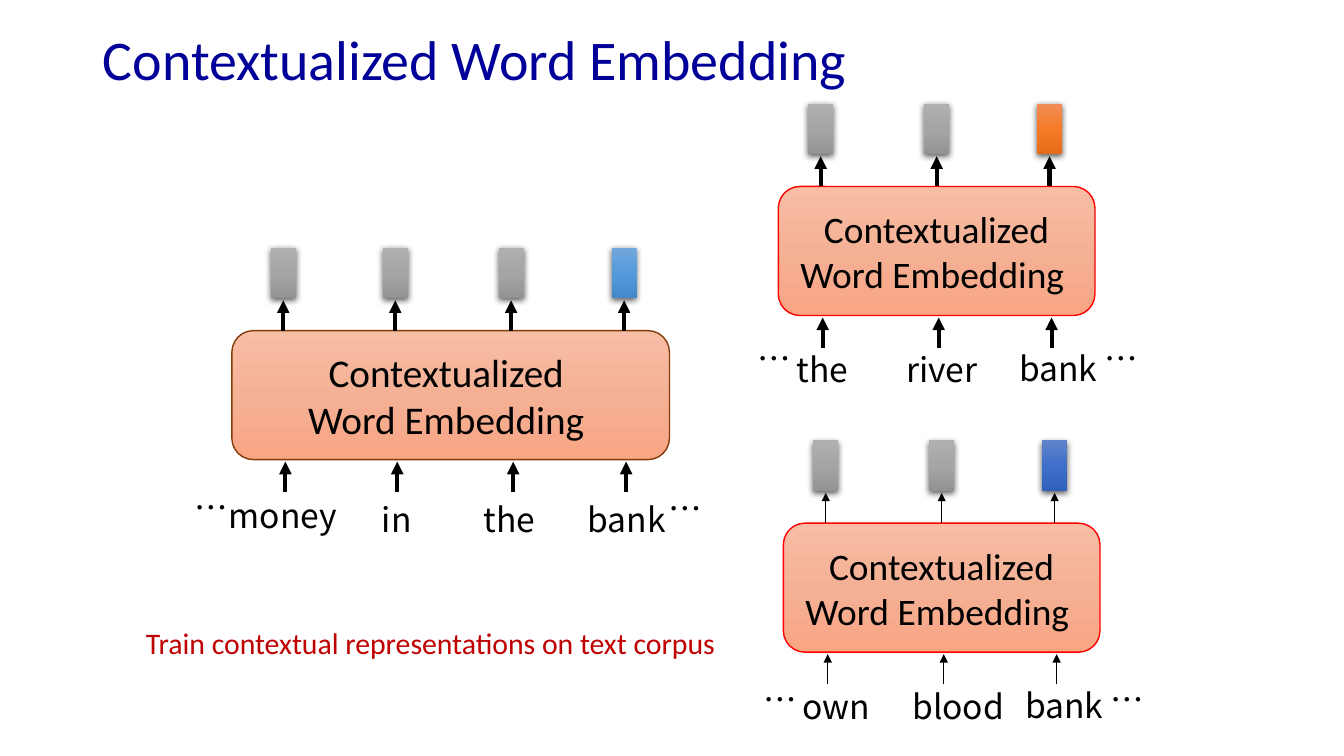
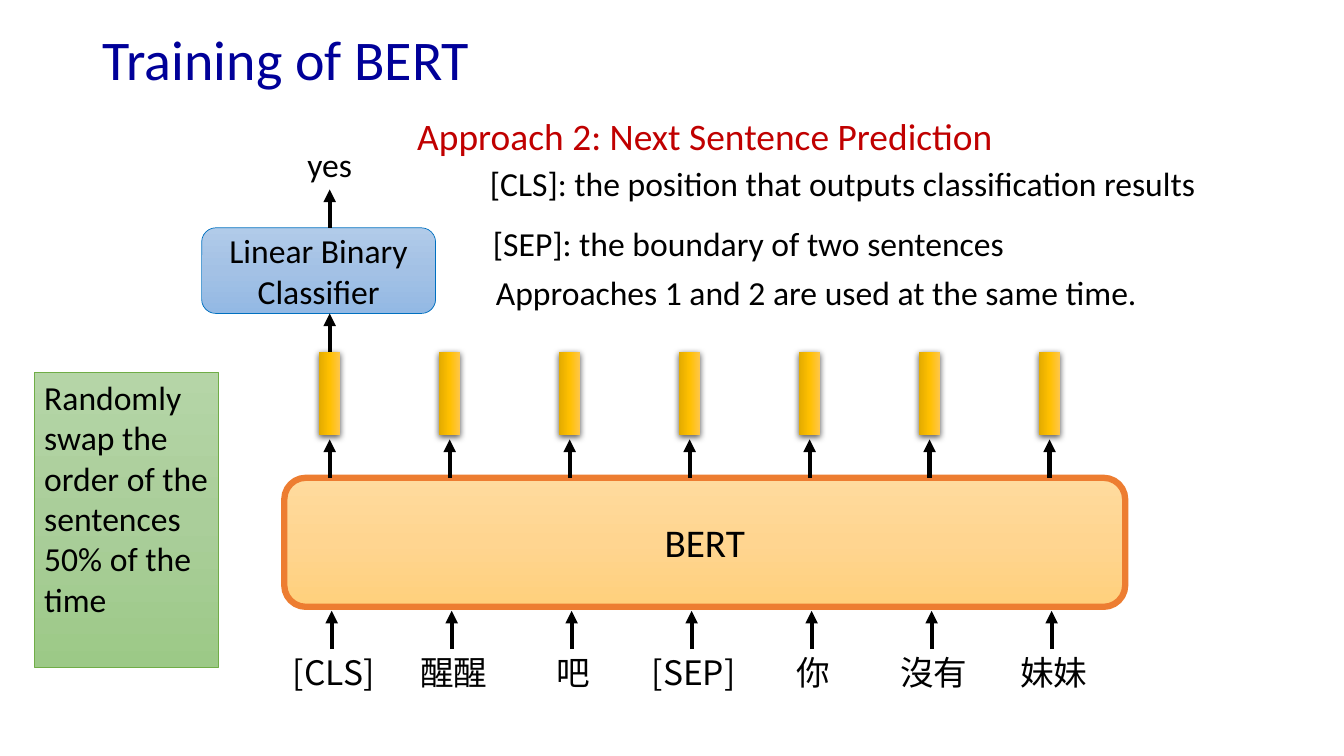
from copy import deepcopy

from lxml import etree
from pptx import Presentation
from pptx.dml.color import RGBColor
from pptx.enum.shapes import MSO_CONNECTOR, MSO_SHAPE
from pptx.enum.text import MSO_ANCHOR as ANCHOR, MSO_AUTO_SIZE as FIT, PP_ALIGN as ALIGN
from pptx.oxml.ns import qn
from pptx.util import Inches, Pt

COLORS = {"title": "000099", "text": "000000", "accent": "C00000", "brown": "843C0B",
          "red": "FF0000", "orange": "ED7D31", "blue": "0070C0", "green": "70AD47"}

# Gradient stops at 0, 50 and 100 %
GRADIENTS = {
    "salmon": ("F7BDA5", "F5B196", "F8A582"),
    "gray": ("AFAFAF", "A5A5A5", "939393"),
    "sky": ("71A6DB", "559BDB", "448ACA"),
    "orange": ("F18C57", "F67B28", "E56C19"),
    "navy": ("6183CB", "3E70CA", "3062BB"),
    "peach": ("FFDB9E", "FFD590", "FFD07C"),
    "pale_blue": ("B1CBE9", "A3C1E5", "93B9E4"),
    "gold": ("FFC64B", "FFC000", "E3AB00"),
    "green": ("B5D5A7", "AACE9A", "9CC987"),
}
SANS, CJK = "Calibri", "Noto Sans CJK SC"


def put_text(tf, text, size=24, color="text", font=SANS, align=ALIGN.LEFT,
             anchor=ANCHOR.TOP, wrap=True, fit=FIT.NONE, spacing=None):
    """Fill a text frame, one paragraph for each line of text."""
    tf.word_wrap, tf.auto_size, tf.vertical_anchor = wrap, fit, anchor
    for i, line in enumerate(text.split("\n")):
        p = tf.add_paragraph() if i else tf.paragraphs[0]
        p.alignment, p.line_spacing = align, spacing
        r = p.add_run()
        r.text = line
        r.font.name, r.font.size = font, Pt(size)
        r.font.color.rgb = RGBColor.from_string(COLORS[color])
        etree.SubElement(r._r.get_or_add_rPr(), qn("a:ea"), typeface=font)


class Deck:
    """The shared style and the slide being drawn."""

    def __init__(self):
        self.prs = Presentation()
        self.prs.slide_width, self.prs.slide_height = Inches(13.33), Inches(7.5)
        self.slide = None

    def new_slide(self, title):
        self.slide = self.prs.slides.add_slide(self.prs.slide_layouts[5])
        sp = self.slide.shapes.title
        sp.left, sp.top, sp.width, sp.height = map(Inches, (0.92, 0.1, 11.13, 1.03))
        put_text(sp.text_frame, title, size=40, color="title",
                 anchor=ANCHOR.MIDDLE, spacing=0.9)

    def label(self, text, x, y, w, h=0.5, **fmt):
        sp = self.slide.shapes.add_textbox(*map(Inches, (x, y, w, h)))
        put_text(sp.text_frame, text, **{"fit": FIT.SHAPE_TO_FIT_TEXT, **fmt})

    def shape(self, kind, x, y, w, h, gradient, line=None, weight=1, angle=270):
        sp = self.slide.shapes.add_shape(kind, *map(Inches, (x, y, w, h)))
        sp.shadow.inherit = False
        sp.fill.gradient()
        sp.fill.gradient_angle = angle
        stops = sp._element.spPr.find(".//" + qn("a:gsLst"))
        stops.append(deepcopy(stops[-1]))
        for i, stop in enumerate(sp.fill.gradient_stops):
            stop.position = i / 2
            stop.color.rgb = RGBColor.from_string(GRADIENTS[gradient][i])
        if line:
            sp.line.color.rgb = RGBColor.from_string(COLORS[line])
            sp.line.width = Pt(weight)
        else:
            sp.line.fill.background()
        return sp

    def box(self, text, x, y, w, h, gradient, line, weight=1, size=24):
        sp = self.shape(MSO_SHAPE.ROUNDED_RECTANGLE, x, y, w, h, gradient, line, weight)
        put_text(sp.text_frame, text, size=size, align=ALIGN.CENTER, anchor=ANCHOR.MIDDLE)

    def note(self, text, x, y, w, h, gradient, line):
        sp = self.shape(MSO_SHAPE.RECTANGLE, x, y, w, h, gradient, line, 0.5)
        put_text(sp.text_frame, text, fit=FIT.SHAPE_TO_FIT_TEXT)

    def vector(self, cx, y, w, h, gradient, angle=270):
        """Shadowed bar centred on cx."""
        sp = self.shape(MSO_SHAPE.RECTANGLE, cx - w / 2, y, w, h, gradient, angle=angle)
        effects = sp._element.spPr.find(qn("a:effectLst"))
        shadow = etree.SubElement(effects, qn("a:outerShdw"), blurRad="57150",
                                  dist="19050", dir="5400000", algn="ctr", rotWithShape="0")
        black = etree.SubElement(shadow, qn("a:srgbClr"), val="000000")
        etree.SubElement(black, qn("a:alpha"), val="63000")
        return sp

    def arrow_up(self, x, bottom, top, weight=3, start=None):
        cxn = self.slide.shapes.add_connector(
            MSO_CONNECTOR.STRAIGHT, *map(Inches, (x, bottom, x, top)))
        cxn.line.color.rgb = RGBColor.from_string(COLORS["text"])
        cxn.line.width = Pt(weight)
        etree.SubElement(cxn.line._get_or_add_ln(), qn("a:tailEnd"), type="triangle")
        etree.SubElement(cxn._element.spPr, qn("a:effectLst"))
        if start is not None:
            cxn.begin_connect(start, 0)

    def embedding_model(self, x, y, w, text, columns, words, dots, last,
                        line="red", size=26.7, weight=3):
        """Model box with words below and a vector above each column."""
        self.box(text, x, y, w, 1.28, "salmon", line, size=size)
        for col in columns:
            self.arrow_up(x + col + 0.02, y + 1.6, y + 1.3, weight)
            self.arrow_up(x + col, y, y - 0.3, weight)
            self.vector(x + col, y - 0.82, 0.25, 0.5,
                        last if col == columns[-1] else "gray")
        for word, dx, dy, width in words:
            self.label(word, x + dx, y + dy, width, font=CJK, wrap=False)
        for dx, dy in dots:
            self.label("…", x + dx, y + dy, 0.55, font=CJK, align=ALIGN.CENTER)


def embedding_slide(deck):
    deck.new_slide("Contextualized Word Embedding")

    # Left model, four words
    deck.embedding_model(
        2.3, 3.28, 4.34, "Contextualized \nWord Embedding ", (0.51, 1.62, 2.77, 3.89),
        [("money", -0.13, 1.58, 1.31), ("in", 1.39, 1.62, 0.5),
         ("the", 2.4, 1.62, 0.73), ("bank", 3.43, 1.62, 0.99)],
        [(-0.48, 1.5), (4.22, 1.51)], "sky", line="brown", size=28)

    # Right models, three words each
    columns = (0.42, 1.57, 2.69)
    text = "Contextualized Word Embedding "
    deck.embedding_model(
        7.72, 1.85, 3.14, text, columns,
        [("the", 0.08, 1.56, 0.73), ("river", 1.17, 1.56, 0.91), ("bank", 2.29, 1.55, 0.99)],
        [(-0.32, 1.45), (3.13, 1.45)], "orange")
    deck.embedding_model(
        7.77, 5.19, 3.14, text, columns,
        [("own", 0.09, 1.57, 0.89), ("blood", 1.18, 1.57, 1.15), ("bank", 2.3, 1.56, 0.99)],
        [(-0.31, 1.5), (3.14, 1.5)], "navy", weight=1)

    deck.label("Train contextual representations on text corpus", 1.35, 6.15, 5.94, 0.46,
               size=21.3, color="accent", wrap=False)


def training_slide(deck):
    deck.new_slide("Training of BERT")

    # Encoder with its tokens and output vectors
    deck.box("BERT", 2.82, 4.74, 8.34, 1.28, "peach", "orange", 4.5, size=28)
    pitch, vectors = 1.19, []
    for i, token in enumerate(("[CLS]", "醒醒", "吧", "[SEP]", "你", "沒有", "妹妹")):
        dx = i * pitch
        deck.label(token, 2.7 + dx, 6.42, 1.22, font=CJK, align=ALIGN.CENTER)
        deck.arrow_up(3.29 + dx, 6.44, 6.06)
        deck.arrow_up(3.27 + dx, 4.74, 4.36)
        vectors.append(deck.vector(3.27 + dx, 3.49, 0.21, 0.83, "gold", angle=180))

    # Classifier on the first vector
    deck.box("Linear Binary\nClassifier", 2, 2.26, 2.32, 0.85, "pale_blue", "blue", 0.5)
    deck.arrow_up(3.27, 3.49, 3.11, start=vectors[0])
    deck.arrow_up(3.27, 2.26, 1.88)
    deck.label("yes", 2.95, 1.38, 0.65, wrap=False)

    # Explanations
    deck.label("Approach 2: Next Sentence Prediction", 4.04, 1.07, 6.03, 0.55,
               size=26.7, color="accent", wrap=False)
    deck.label("[CLS]: the position that outputs classification results", 4.76, 1.57, 8.34)
    deck.label("[SEP]: the boundary of two sentences", 4.79, 2.16, 7.42)
    deck.label("Approaches 1 and 2 are used at the same time.", 4.82, 2.65, 7.86)
    deck.note("Randomly swap the order of the sentences 50% of the time",
              0.34, 3.69, 1.83, 2.93, "green", "green")


def main():
    deck = Deck()
    embedding_slide(deck)
    training_slide(deck)
    deck.prs.save("out.pptx")


if __name__ == "__main__":
    main()
